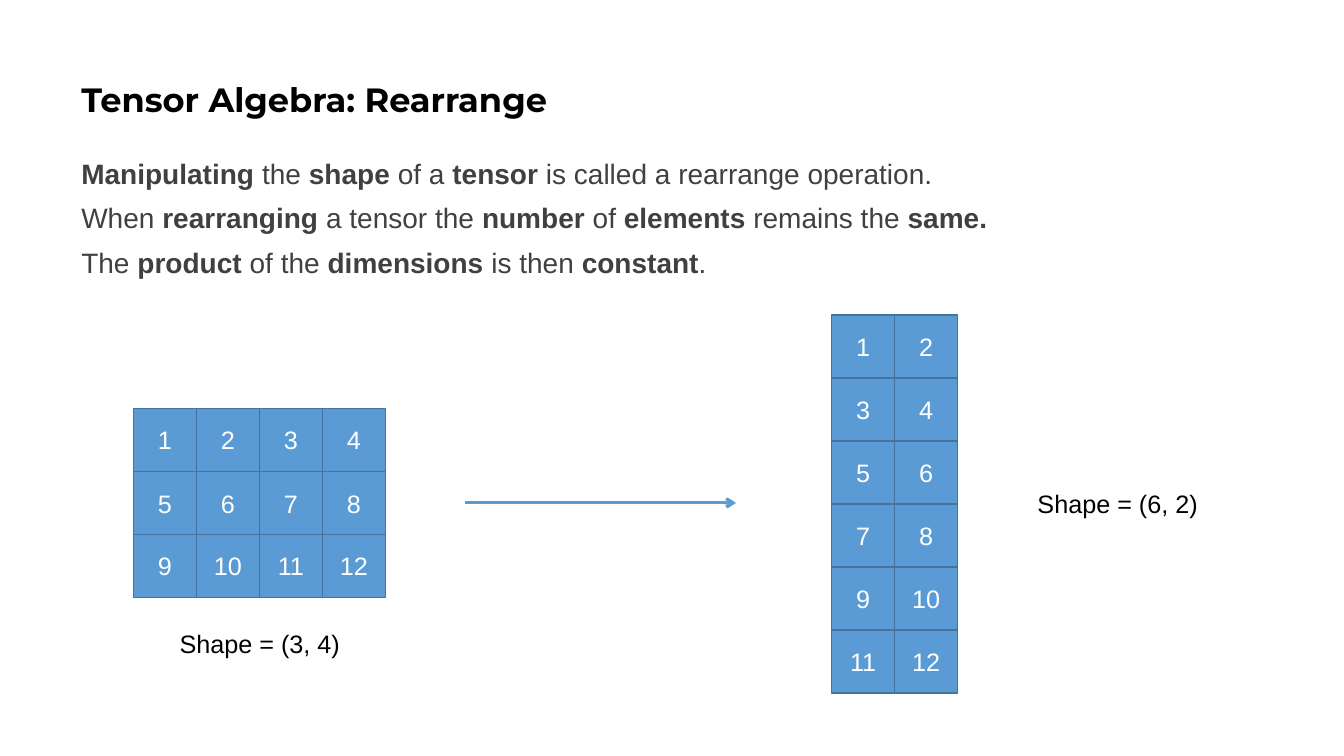
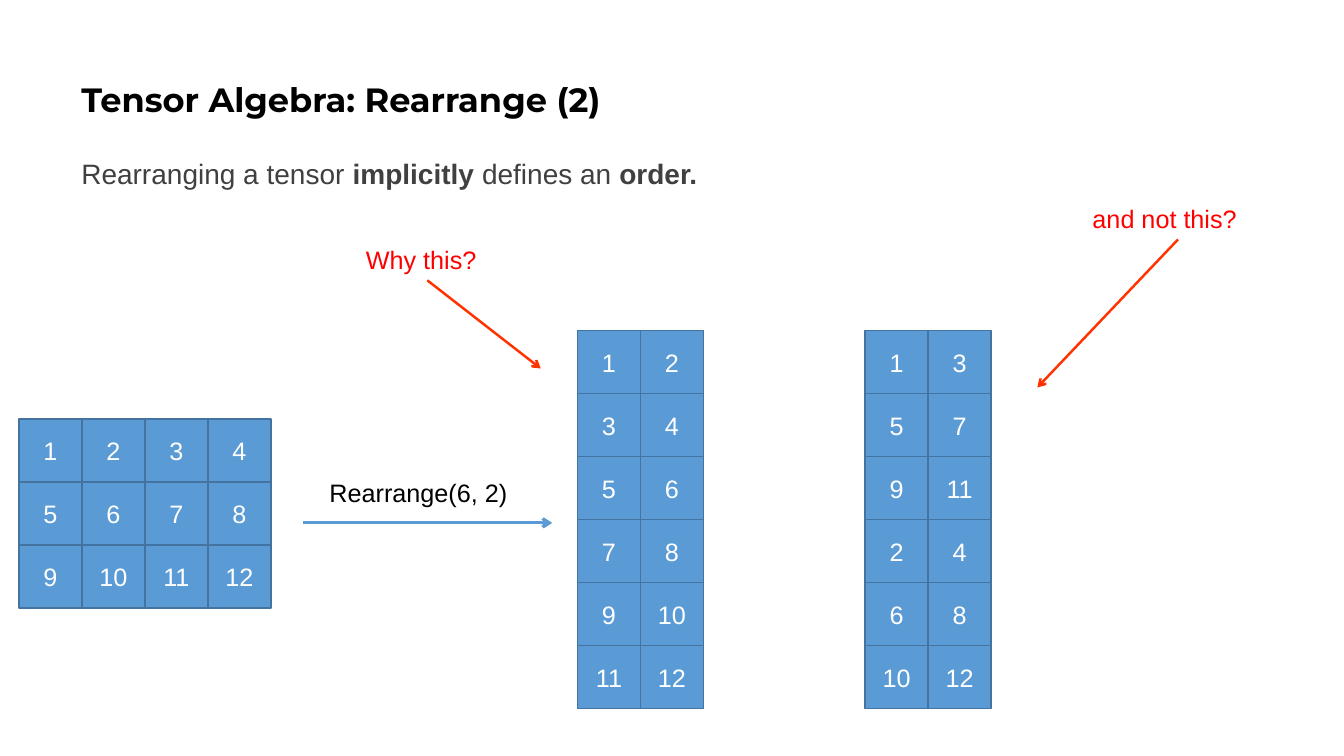
from lxml import etree
from pptx import Presentation
from pptx import util as u
from pptx.dml import color
from pptx.enum import shapes, text
from pptx.oxml import ns

PX = 9525  # EMU per px, 96 px to the inch
CELL = 60
BLUE, EDGE, RED, ARROW_RED = "5B9BD5", "43739E", "FF0000", "FF3300"
BLACK, GREY, WHITE = "000000", "404040", "FFFFFF"
LEFT, CENTER = text.PP_ALIGN.LEFT, text.PP_ALIGN.CENTER
hex_color = color.RGBColor.from_string

COUNT = list(range(1, 13))
ODD_THEN_EVEN = COUNT[::2] + COUNT[1::2]

# In the body lines, words between asterisks are bold.
# grids: left, top, columns, values
# labels: left, top, width, wrap, alignment, colour, wording
# arrows: x1, y1, x2, y2, colour, points, label joined at its bottom
SLIDES = [
    {
        "title": "Tensor Algebra: Rearrange",
        "body": [
            "*Manipulating *the *shape *of a *tensor *is called a rearrange operation.",
            "When *rearranging *a tensor the *number *of *elements *remains the *same.*",
            "The *product *of the *dimensions *is then *constant*.",
        ],
        "grids": [(127, 389, 4, COUNT), (792, 300, 2, COUNT)],
        "labels": [
            (127, 594, 241, True, CENTER, BLACK, "Shape = (3, 4)"),
            (944, 460, 241, True, CENTER, BLACK, "Shape = (6, 2)"),
        ],
        "arrows": [(443, 479, 701, 479, BLUE, 2.25, None)],
    },
    {
        "title": "Tensor Algebra: Rearrange (2)",
        "body": ["Rearranging a tensor *implicitly *defines an *order.*"],
        "grids": [(18, 399, 4, COUNT), (550, 315, 2, COUNT),
                  (824, 315, 2, ODD_THEN_EVEN)],
        "labels": [
            (278, 450, 241, True, CENTER, BLACK, "Rearrange(6, 2)"),
            (1031, 189, 176, False, LEFT, RED, "and not this?"),
            (339, 228, 136, False, LEFT, RED, "Why this?"),
        ],
        "arrows": [
            (289, 498, 526, 498, BLUE, 2.25, None),
            (1122, 228, 988, 369, ARROW_RED, 1.75, None),
            (407, 267, 515, 351, ARROW_RED, 1.75, "Why this?"),
        ],
    },
]


def box(left, top, width, height):
    return [u.Emu(length * PX) for length in (left, top, width, height)]


def write(paragraph, wording, size, colour, alignment=LEFT, font="Arial", bold=False):
    paragraph.alignment = alignment
    for index, part in enumerate(wording.split("*")):
        if part:
            run = paragraph.add_run()
            run.text = part
            run.font.name = font
            run.font.size = u.Pt(size)
            run.font.bold = bold or index % 2 == 1
            run.font.color.rgb = hex_color(colour)


presentation = Presentation()
presentation.slide_width, presentation.slide_height = box(0, 0, 1280, 720)[2:]

for content in SLIDES:
    slide = presentation.slides.add_slide(presentation.slide_layouts[5])

    # Title
    title = slide.shapes.title
    title.left, title.top, title.width, title.height = box(68, 27, 1104, 139)
    title.text_frame.auto_size = text.MSO_AUTO_SIZE.NONE
    title.text_frame.vertical_anchor = text.MSO_ANCHOR.MIDDLE
    paragraph = title.text_frame.paragraphs[0]
    paragraph.line_spacing = 0.9
    write(paragraph, content["title"], 24, BLACK, font="Montserrat", bold=True)

    # Body text
    frame = slide.shapes.add_textbox(*box(68, 148, 1104, 180)).text_frame
    frame.word_wrap = True
    for index, line in enumerate(content["body"]):
        paragraph = frame.add_paragraph() if index else frame.paragraphs[0]
        paragraph.line_spacing = 0.9
        paragraph.space_before = u.Pt(10)
        write(paragraph, line, 20, GREY)

    # Tensors, filled row by row
    for left, top, columns, values in content["grids"]:
        for index, value in enumerate(values):
            row, column = divmod(index, columns)
            cell = slide.shapes.add_shape(
                shapes.MSO_SHAPE.RECTANGLE,
                *box(left + column * CELL, top + row * CELL, CELL, CELL))
            cell.shadow.inherit = False
            cell.fill.solid()
            cell.fill.fore_color.rgb = hex_color(BLUE)
            cell.line.color.rgb = hex_color(EDGE)
            cell.line.width = u.Pt(1)
            cell.text_frame.vertical_anchor = text.MSO_ANCHOR.MIDDLE
            write(cell.text_frame.paragraphs[0], str(value), 18, WHITE, CENTER)

    # Labels
    labels = {}
    for left, top, width, wrap, alignment, colour, wording in content["labels"]:
        label = slide.shapes.add_textbox(*box(left, top, width, 39))
        label.text_frame.word_wrap = wrap
        label.text_frame.auto_size = text.MSO_AUTO_SIZE.SHAPE_TO_FIT_TEXT
        write(label.text_frame.paragraphs[0], wording, 18, colour, alignment)
        labels[wording] = label

    # Arrows
    for x1, y1, x2, y2, colour, points, source in content["arrows"]:
        arrow = slide.shapes.add_connector(
            shapes.MSO_CONNECTOR.STRAIGHT, *box(x1, y1, x2, y2))
        if source:
            arrow.begin_connect(labels[source], 2)
        arrow.line.color.rgb = hex_color(colour)
        arrow.line.width = u.Pt(points)
        outline = arrow.get_or_add_ln()
        etree.SubElement(outline, ns.qn("a:tailEnd"), type="arrow")
        etree.SubElement(outline.getparent(), ns.qn("a:effectLst"))

presentation.save("out.pptx")
